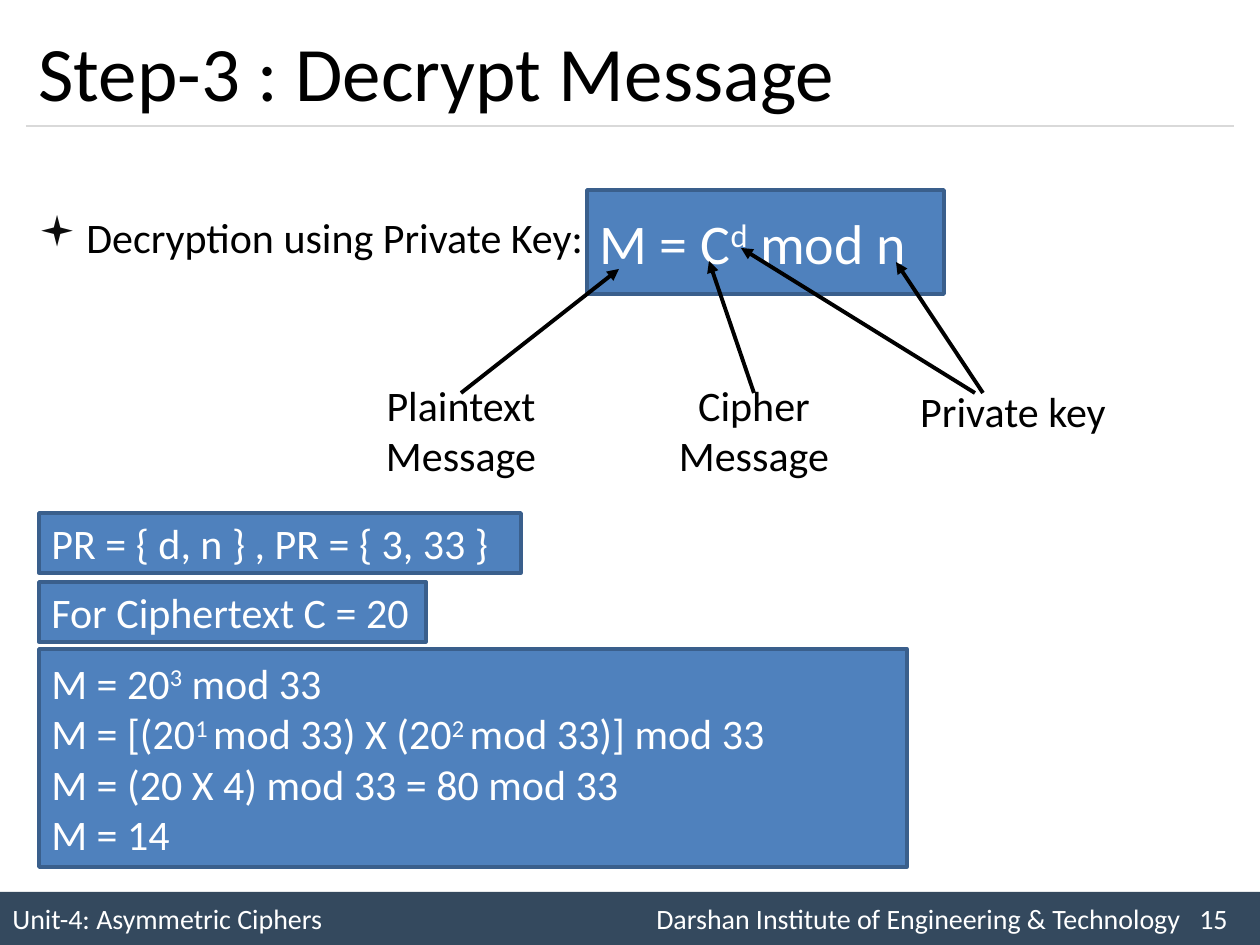
from lxml import etree
from pptx import Presentation
from pptx import util as u
from pptx.dml.color import RGBColor
from pptx.enum import shapes, text
from pptx.oxml.ns import qn

SCALE = u.Inches(1) / 126  # EMU per px
FONT = "Calibri"
COLORS = {"ink": "000000", "white": "FFFFFF", "box": "4F81BD", "edge": "3A5F8C",
          "footer": "34495E", "rule": "D9D9D9", "bullet": "0D0D0D"}

# Text between a pair of ^ marks is superscript.
TITLE = "Step-3 : Decrypt Message"
BULLET = "Decryption using Private Key:"
FOOTER = "Unit-4: Asymmetric Ciphers\tDarshan Institute of Engineering & Technology\t15"
FOOTER_TABS = (644, 1187)
BOXES = [  # place, size in points, lines
    ((587, 190, 357, 104), 32, ["M = C^d^ mod n"]),
    ((39, 513, 482, 60), 24, ["PR = { d, n } , PR = { 3, 33 }"]),
    ((39, 582, 387, 60), 24, ["For Ciphertext C = 20"]),
    ((39, 649, 868, 218), 24, [
        "M = 20^3^ mod 33",
        "M = [(20^1 ^mod 33) X (20^2 ^mod 33)] mod 33",
        "M = (20 X 4) mod 33 = 80 mod 33",
        "M = 14"]),
]
LABELS = [  # place, lines, arrows as (from, to)
    ((357, 373, 208, 115), ["Plaintext", "Message"], [((461, 393), (619, 269))]),
    ((650, 373, 208, 115), ["Cipher", "Message"], [((754, 393), (709, 261))]),
    ((880, 379, 266, 63), ["Private key"],
     [((975, 393), (741, 248)), ((983, 393), (896, 262))]),
]


def px(length):
    return u.Emu(round(length * SCALE))


def color(name):
    return RGBColor.from_string(COLORS[name])


def write(shape, lines, size, ink, align=text.PP_ALIGN.LEFT, anchor=text.MSO_ANCHOR.MIDDLE):
    frame = shape.text_frame
    frame.word_wrap = True
    frame.vertical_anchor = anchor
    for index, line in enumerate(lines):
        paragraph = frame.paragraphs[0] if index == 0 else frame.add_paragraph()
        paragraph.alignment = align
        for part, content in enumerate(line.split("^")):
            if not content:
                continue
            run = paragraph.add_run()
            run.text = content
            run.font.name, run.font.size = FONT, u.Pt(size)
            run.font.color.rgb = color(ink)
            if part % 2:
                run.font._element.get_or_add_rPr().set("baseline", "30000") \
                    if hasattr(run.font._element, "get_or_add_rPr") \
                    else run._r.get_or_add_rPr().set("baseline", "30000")


def add_box(slide, place, fill, edge=None):
    shape = slide.shapes.add_shape(shapes.MSO_SHAPE.RECTANGLE, *map(px, place))
    shape.shadow.inherit = False
    shape.fill.solid()
    shape.fill.fore_color.rgb = color(fill)
    if edge:
        shape.line.color.rgb = color(edge)
        shape.line.width = u.Pt(2)
    else:
        shape.line.fill.background()
    return shape


def add_line(slide, start, end, ink, width, arrow=False):
    line = slide.shapes.add_connector(
        shapes.MSO_CONNECTOR.STRAIGHT, *map(px, (*start, *end)))
    line.line.color.rgb = color(ink)
    line.line.width = u.Pt(width)
    if arrow:
        etree.SubElement(line.line._get_or_add_ln(), qn("a:tailEnd"), type="triangle")
    etree.SubElement(line._element.spPr, qn("a:effectLst"))


def add_footer(slide):
    footer = add_box(slide, (0, 892, 1260, 53), "footer")
    write(footer, [FOOTER], 16, "white")
    properties = footer.text_frame.paragraphs[0]._p.get_or_add_pPr()
    tabs = etree.SubElement(properties, qn("a:tabLst"))
    for position in FOOTER_TABS:
        etree.SubElement(tabs, qn("a:tab"), pos=str(px(position)), algn="l")


def add_bullet(slide):
    body = slide.shapes.add_textbox(*map(px, (26, 205, 570, 64)))
    write(body, [BULLET], 24, "ink", anchor=text.MSO_ANCHOR.TOP)
    properties = body.text_frame.paragraphs[0]._p.get_or_add_pPr()
    properties.set("marL", str(px(48)))
    properties.set("indent", str(px(-48)))
    bullet_color = etree.SubElement(properties, qn("a:buClr"))
    etree.SubElement(bullet_color, qn("a:srgbClr"), val=COLORS["bullet"])
    etree.SubElement(properties, qn("a:buFont"), typeface="Wingdings")
    etree.SubElement(properties, qn("a:buChar"), char="▪")


def main():
    presentation = Presentation()
    presentation.slide_width, presentation.slide_height = px(1260), px(945)
    slide = presentation.slides.add_slide(presentation.slide_layouts[5])

    add_footer(slide)
    add_line(slide, (26, 126), (1234, 126), "rule", 0.75)
    title = slide.shapes.title
    title.left, title.top, title.width, title.height = map(px, (26, 15, 1208, 111))
    write(title, [TITLE], 44, "ink")
    add_bullet(slide)

    for place, size, lines in BOXES:
        write(add_box(slide, place, "box", "edge"), lines, size, "white")
    for place, lines, arrows in LABELS:
        label = slide.shapes.add_textbox(*map(px, place))
        write(label, lines, 24, "ink", text.PP_ALIGN.CENTER, text.MSO_ANCHOR.TOP)
        for start, end in arrows:
            add_line(slide, start, end, "ink", 2.25, arrow=True)

    presentation.save("out.pptx")


if __name__ == "__main__":
    main()
